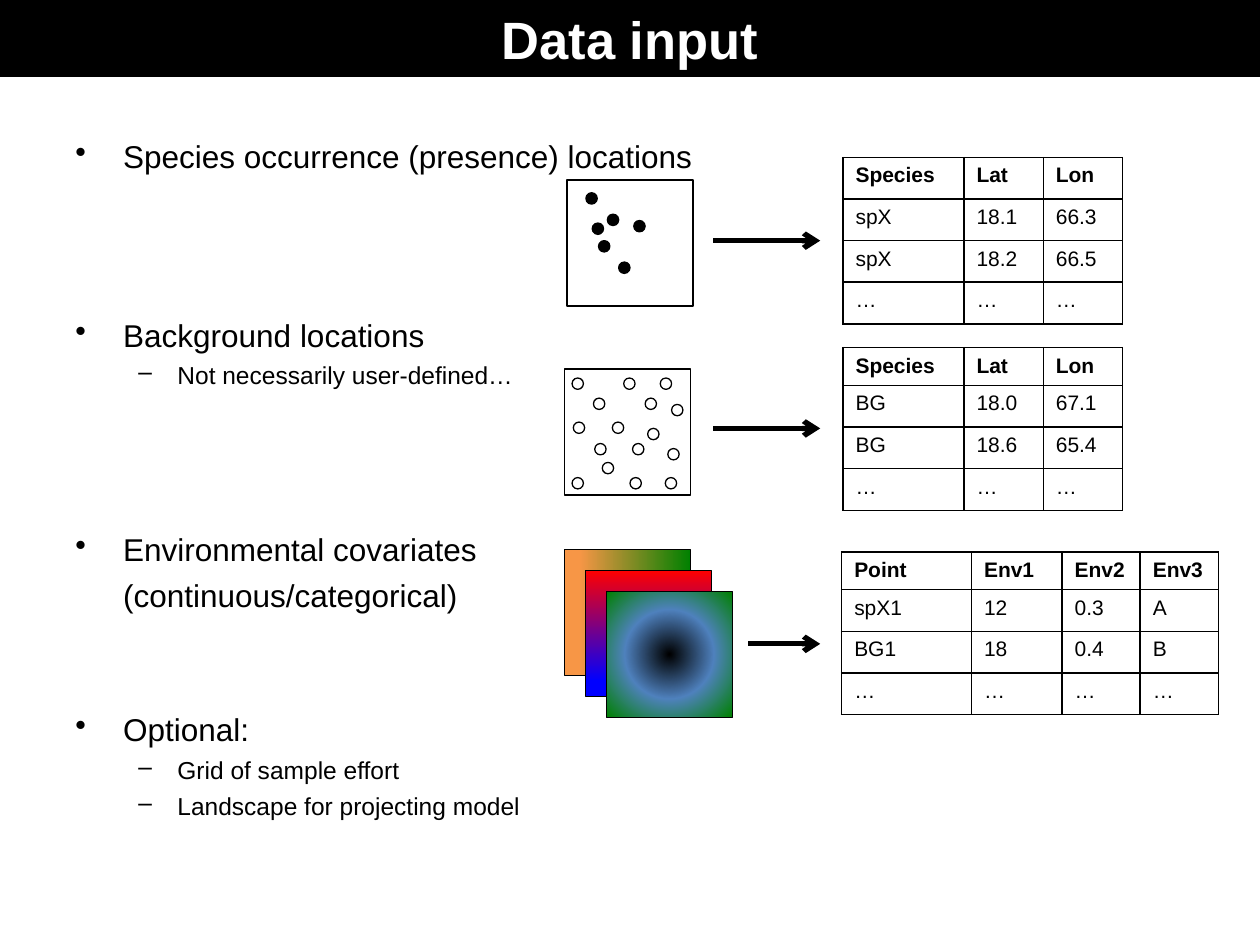
from dataclasses import dataclass
from pptx import Presentation
from pptx.dml.color import RGBColor
from pptx.enum.shapes import MSO_CONNECTOR, MSO_SHAPE
from pptx.enum.text import MSO_ANCHOR, PP_ALIGN
from pptx.oxml import parse_xml
from pptx.oxml.ns import nsdecls, qn
from pptx.util import Inches, Pt


@dataclass(frozen=True)
class Theme:
    font: str = "Arial"
    ink: str = "000000"
    paper: str = "FFFFFF"
    orange: str = "F79646"
    green: str = "008000"
    blue: str = "0000FF"
    red: str = "FF0000"
    steel: str = "4F81BD"
    title: int = 30
    body: int = 18
    detail: int = 14
    cell: int = 12
    outline: float = 0.75
    arrow: float = 3
    border: float = 1


THEME = Theme()
DOT = 0.09

# text, bullet, space before in points
TOPICS = [
    ("Species occurrence (presence) locations", "•", 0),
    ("Background locations", "•", 80.4),
    ("Not necessarily user-defined…", "–", 3.9),
    ("Environmental covariates", "•", 80.4),
    ("(continuous/categorical)", None, 4.6),
    ("Optional:", "•", 55),
    ("Grid of sample effort", "–", 3.9),
    ("Landscape for projecting model", "–", 3.9),
]
PRESENCE_DOTS = [(0.15, 0.1), (0.32, 0.27), (0.25, 0.48), (0.2, 0.34), (0.53, 0.32), (0.41, 0.65)]
BACKGROUND_DOTS = [
    (0.06, 0.07), (0.47, 0.07), (0.76, 0.07), (0.23, 0.23), (0.64, 0.23), (0.85, 0.28),
    (0.07, 0.42), (0.38, 0.42), (0.66, 0.47), (0.24, 0.59), (0.54, 0.59), (0.82, 0.63),
    (0.3, 0.74), (0.06, 0.86), (0.52, 0.86), (0.8, 0.86),
]
PRESENCE_ROWS = [
    ("Species", "Lat", "Lon"), ("spX", "18.1", "66.3"), ("spX", "18.2", "66.5"), ("…",) * 3]
BACKGROUND_ROWS = [
    ("Species", "Lat", "Lon"), ("BG", "18.0", "67.1"), ("BG", "18.6", "65.4"), ("…",) * 3]
COVARIATE_ROWS = [
    ("Point", "Env1", "Env2", "Env3"), ("spX1", "12", "0.3", "A"),
    ("BG1", "18", "0.4", "B"), ("…",) * 4]
POINT_COLUMNS = (0.96, 0.63, 0.63)
COVARIATE_COLUMNS = (1.03, 0.72, 0.62, 0.62)
LINEAR = '<a:lin ang="{}" scaled="0"/>'
RADIAL = '<a:path path="circle"><a:fillToRect l="50000" t="50000" r="50000" b="50000"/></a:path>'
COVARIATE_LAYERS = [
    ([(12, THEME.orange), (100, THEME.green)], LINEAR.format(0)),
    ([(12, THEME.blue), (100, THEME.red)], LINEAR.format(270 * 60000)),
    ([(0, THEME.ink), (50, THEME.steel), (100, THEME.green)], RADIAL),
]


def color(code):
    return RGBColor.from_string(code)


def add_span(para, text, size, code=THEME.ink, bold=False):
    span = para.add_run()
    span.text = text
    span.font.name = THEME.font
    span.font.size = Pt(size)
    span.font.bold = bold
    span.font.color.rgb = color(code)


def add_outlined(page, kind, left, top, size, fill=None):
    shape = page.shapes.add_shape(kind, Inches(left), Inches(top), Inches(size), Inches(size))
    shape.shadow.inherit = False
    shape.line.color.rgb = color(THEME.ink)
    shape.line.width = Pt(THEME.outline)
    if fill:
        shape.fill.solid()
        shape.fill.fore_color.rgb = color(fill)
    else:
        shape.fill.background()
    return shape


def set_gradient(shape, stops, direction):
    shape.fill.gradient()
    default = shape.element.spPr.find(qn("a:gradFill"))
    stop_list = "".join(
        f'<a:gs pos="{position * 1000}"><a:srgbClr val="{code}"/></a:gs>'
        for position, code in stops)
    gradient = parse_xml(
        f'<a:gradFill {nsdecls("a")} rotWithShape="1">'
        f'<a:gsLst>{stop_list}</a:gsLst>{direction}</a:gradFill>')
    default.getparent().replace(default, gradient)


def add_title_bar(page, text, left, top, width, height):
    title = page.shapes.title
    title.left, title.top, title.width, title.height = map(Inches, (left, top, width, height))
    title.fill.solid()
    title.fill.fore_color.rgb = color(THEME.ink)
    title.text_frame.vertical_anchor = MSO_ANCHOR.MIDDLE
    para = title.text_frame.paragraphs[0]
    para.alignment = PP_ALIGN.CENTER
    add_span(para, text, THEME.title, THEME.paper, True)


def set_bullet(para, bullet, margin, hanging):
    properties = para._p.get_or_add_pPr()
    properties.set("marL", str(Inches(margin)))
    properties.set("indent", str(-Inches(hanging) if bullet else 0))
    mark = f'<a:buChar {nsdecls("a")} char="{bullet}"/>' if bullet else f'<a:buNone {nsdecls("a")}/>'
    properties.append(parse_xml(mark))


def add_topics(page, left, top, width, height):
    box = page.shapes.add_textbox(Inches(left), Inches(top), Inches(width), Inches(height))
    frame = box.text_frame
    frame.word_wrap = True
    for index, (text, bullet, gap) in enumerate(TOPICS):
        para = frame.add_paragraph() if index else frame.paragraphs[0]
        para.space_before = Pt(gap)
        detail = bullet == "–"
        para.level = int(detail)
        set_bullet(para, bullet, *((0.81, 0.31) if detail else (0.38, 0.38)))
        add_span(para, text, THEME.detail if detail else THEME.body)


def add_point_map(page, left, top, size, dots, fill=None):
    add_outlined(page, MSO_SHAPE.RECTANGLE, left, top, size)
    for across, down in dots:
        add_outlined(page, MSO_SHAPE.OVAL, left + across * size, top + down * size, DOT, fill)


def add_layer_stack(page, left, top, size):
    step = size / 6
    for index, (stops, direction) in enumerate(COVARIATE_LAYERS):
        layer = add_outlined(
            page, MSO_SHAPE.RECTANGLE, left + index * step, top + index * step, size)
        set_gradient(layer, stops, direction)


def add_arrow(page, left, right, height):
    arrow = page.shapes.add_connector(
        MSO_CONNECTOR.STRAIGHT, Inches(left), Inches(height), Inches(right), Inches(height))
    arrow.line.color.rgb = color(THEME.ink)
    arrow.line.width = Pt(THEME.arrow)
    arrow.line._get_or_add_ln().append(parse_xml(f'<a:tailEnd {nsdecls("a")} type="arrow"/>'))
    arrow.element.spPr.append(parse_xml(f'<a:effectLst {nsdecls("a")}/>'))


def set_borders(cell):
    properties = cell._tc.get_or_add_tcPr()
    for index, side in enumerate(("lnL", "lnR", "lnT", "lnB")):
        properties.insert(index, parse_xml(
            f'<a:{side} {nsdecls("a")} w="{Pt(THEME.border)}"><a:solidFill>'
            f'<a:srgbClr val="{THEME.ink}"/></a:solidFill></a:{side}>'))


def add_data_table(page, left, top, columns, rows, header_height=0.25, row_height=0.33):
    heights = [header_height] + [row_height] * (len(rows) - 1)
    table = page.shapes.add_table(
        len(rows), len(columns), Inches(left), Inches(top),
        Inches(sum(columns)), Inches(sum(heights))).table
    table.first_row = table.horz_banding = False
    for column, width in zip(table.columns, columns):
        column.width = Inches(width)
    for index, (row, height, texts) in enumerate(zip(table.rows, heights, rows)):
        row.height = Inches(height)
        for cell, text in zip(row.cells, texts):
            cell.fill.background()
            set_borders(cell)
            add_span(cell.text_frame.paragraphs[0], text, THEME.cell, bold=index == 0)


def build_page(deck):
    page = deck.slides.add_slide(deck.slide_layouts[5])
    add_title_bar(page, "Data input", 0, 0, 10, 0.61)
    add_topics(page, 0.5, 1.04, 9, 5.75)
    add_point_map(page, 4.5, 1.43, 1, PRESENCE_DOTS, THEME.ink)
    add_point_map(page, 4.48, 2.93, 1, BACKGROUND_DOTS)
    add_layer_stack(page, 4.48, 4.36, 1)
    for left, height in ((5.66, 1.91), (5.66, 3.4), (5.94, 5.11)):
        add_arrow(page, left, 6.51, height)
    add_data_table(page, 6.69, 1.25, POINT_COLUMNS, PRESENCE_ROWS, header_height=0.33)
    add_data_table(page, 6.69, 2.76, POINT_COLUMNS, BACKGROUND_ROWS)
    add_data_table(page, 6.68, 4.38, COVARIATE_COLUMNS, COVARIATE_ROWS)


def main():
    deck = Presentation()
    deck.slide_width, deck.slide_height = Inches(10), Inches(7.5)
    build_page(deck)
    deck.save("out.pptx")


if __name__ == "__main__":
    main()
